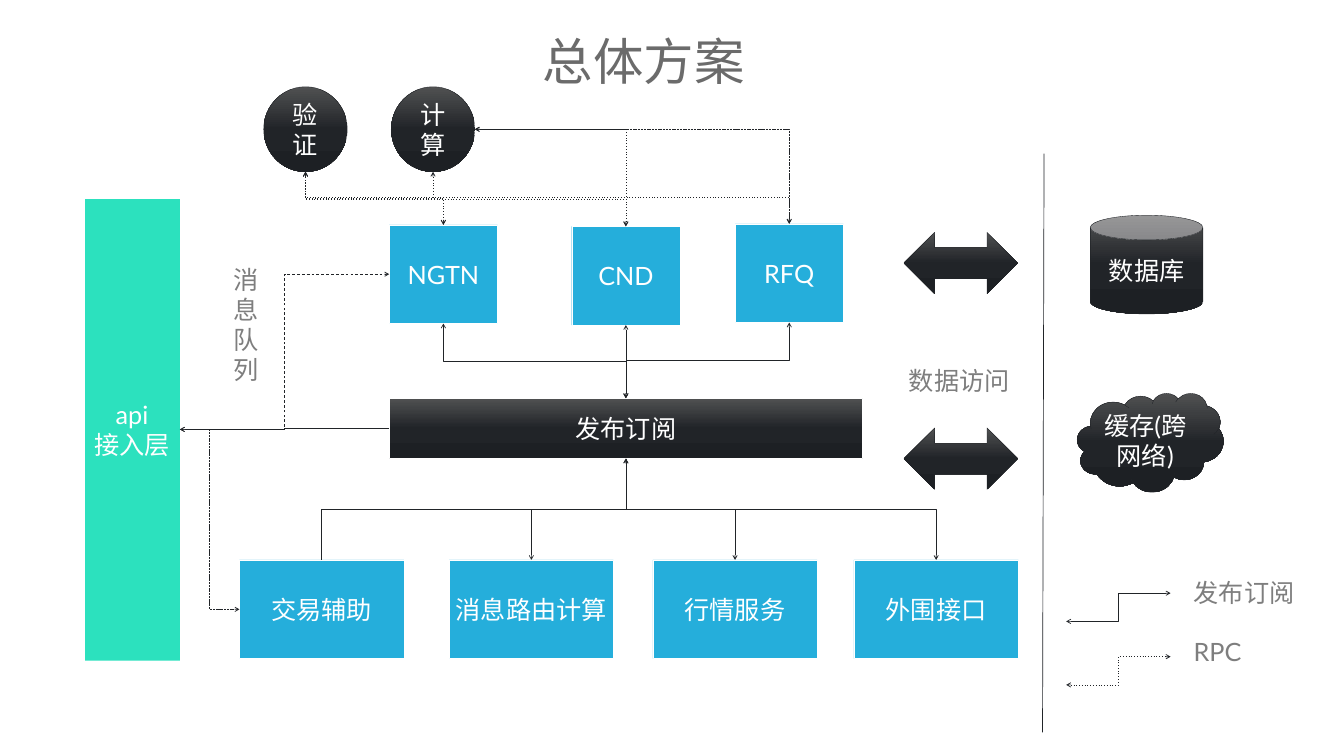
from copy import deepcopy

from lxml.etree import SubElement
from pptx import Presentation
from pptx.dml.color import RGBColor
from pptx.enum.shapes import MSO_CONNECTOR, MSO_SHAPE
from pptx.enum.text import MSO_ANCHOR, PP_ALIGN
from pptx.oxml.ns import qn
from pptx.util import Inches, Pt

LATIN, CJK = "Lato", "Noto Sans CJK SC"
WHITE, INK, GREY, TITLE_GREY = "FFFFFF", "212428", "7E7E7E", "6B6B6B"
BLUE, GREEN = "25AEDB", "2CE1BE"
DARK = [(0, "505152"), (0.5, INK), (1, "1D2024")]
RECT, OVAL = MSO_SHAPE.RECTANGLE, MSO_SHAPE.OVAL
TOP, LEFT, BOTTOM, RIGHT = range(4)

SERVICES = [("交易辅助", 4.75), ("消息路由计算", 8.91), ("行情服务", 12.95), ("外围接口", 16.94)]
ENGINES = [("NGTN", 7.72, 4.46), ("CND", 11.34, 4.49), ("RFQ", 14.58, 4.44)]
NODES = [
    ("api\n接入层", RECT, (1.67, 3.93, 1.9, 9.18), GREEN, WHITE),
    ("发布订阅", RECT, (7.72, 7.9, 9.39, 1.2), DARK, WHITE),
    ("数据库", MSO_SHAPE.CAN, (21.63, 4.27, 2.23, 1.96), DARK, INK),
    ("缓存(跨网络)", MSO_SHAPE.CLOUD, (21.37, 7.8, 2.9, 1.96), DARK, INK),
    *[(name, OVAL, (x, 1.72, 1.66, 1.69), DARK, INK) for name, x in [("验证", 5.23), ("计算", 7.76)]],
    *[(name, RECT, (x, y, 2.15, 1.96), BLUE, WHITE) for name, x, y in ENGINES],
    *[(name, RECT, (x, 11.11, 3.26, 1.96), BLUE, WHITE) for name, x in SERVICES],
]
ACCESS_ARROWS = [(17.93, y, 2.26, 1.22) for y in (4.61, 8.49)]
LABELS = [
    ("数据访问", (17.93, 7.19, 2.26, 0.71)),
    ("消息队列", (4.54, 5.19, 1.19, 2.52)),
    ("发布订阅", (23.58, 11.4, 2.65, 0.71)),
    ("RPC", (23.58, 12.57, 2.65, 0.71)),
]
LINKS = [
    ("api\n接入层", RIGHT, "交易辅助", LEFT, "sysDash", "both"),
    ("api\n接入层", RIGHT, "NGTN", LEFT, "dash", "end"),
    ("发布订阅", LEFT, "api\n接入层", RIGHT, "solid", "end"),
    ("发布订阅", BOTTOM, "行情服务", TOP, "solid", "end"),
    ("发布订阅", BOTTOM, "外围接口", TOP, "solid", "end"),
    ("交易辅助", TOP, "发布订阅", BOTTOM, "solid", "end"),
    ("消息路由计算", TOP, "发布订阅", BOTTOM, "solid", "both"),
    ("NGTN", BOTTOM, "发布订阅", TOP, "solid", "both"),
    ("RFQ", BOTTOM, "发布订阅", TOP, "solid", "both"),
    ("NGTN", TOP, "验证", BOTTOM, "dot", "both"),
    ("CND", TOP, "验证", BOTTOM, "dot", "both"),
    ("RFQ", TOP, "验证", BOTTOM, "dot", "both"),
    ("NGTN", TOP, "计算", BOTTOM, "dot", "both"),
    ("CND", TOP, "计算", RIGHT, "dot", "both"),
    ("RFQ", TOP, "计算", RIGHT, "sysDash", "both"),
]
LEGEND = [(12.33, "solid"), (13.59, "dot")]


def rgb(color):
    """Turn a hex string into a colour."""
    return RGBColor.from_string(color)


def style_text(tf, color, size=36, font=LATIN, align=PP_ALIGN.LEFT):
    """Format every run of a text frame."""
    for p in tf.paragraphs:
        p.alignment = align
        for r in p.runs:
            r.font.size, r.font.name = Pt(size), font
            r.font.color.rgb = rgb(color)
            SubElement(r.font._element, qn("a:ea"), typeface=CJK)


def paint(sp, fill):
    """Fill a shape with one colour or with gradient stops."""
    if isinstance(fill, str):
        sp.fill.solid()
        sp.fill.fore_color.rgb = rgb(fill)
        return
    sp.fill.gradient()
    sp.fill.gradient_angle = 270
    stops = sp._element.spPr.find(".//" + qn("a:gsLst"))
    stops.append(deepcopy(stops[0]))
    for stop, (position, color) in zip(sp.fill.gradient_stops, fill):
        stop.position = position
        stop.color.rgb = rgb(color)


def add_node(s, kind, box, fill, line, text=""):
    """Add a filled shape with centred white text."""
    sp = s.shapes.add_shape(kind, *map(Inches, box))
    sp.shadow.inherit = False
    paint(sp, fill)
    sp.line.color.rgb, sp.line.width = rgb(line), Pt(0.5)
    if text:
        tf = sp.text_frame
        tf.text, tf.word_wrap, tf.vertical_anchor = text, True, MSO_ANCHOR.MIDDLE
        style_text(tf, WHITE, align=PP_ALIGN.CENTER)
    return sp


def add_label(s, text, box, color=GREY):
    """Add a wrapped text box and return its frame."""
    tf = s.shapes.add_textbox(*map(Inches, box)).text_frame
    tf.text, tf.word_wrap = text, True
    style_text(tf, color)
    return tf


def side_point(sp, side):
    """Return the middle of one side of a shape."""
    fx, fy = [(0.5, 0), (0, 0.5), (0.5, 1), (1, 0.5)][side]
    return sp.left + int(sp.width * fx), sp.top + int(sp.height * fy)


def add_line(s, kind, start, end, dash="solid", arrows="none"):
    """Add a dark connector with a dash and open arrowheads."""
    c = s.shapes.add_connector(kind, *start, *end)
    c.line.color.rgb, c.line.width = rgb(INK), Pt(1)
    ln = c._element.spPr.find(qn("a:ln"))
    SubElement(ln, qn("a:prstDash"), val=dash)
    if arrows == "both":
        SubElement(ln, qn("a:headEnd"), type="arrow")
    if arrows != "none":
        SubElement(ln, qn("a:tailEnd"), type="arrow")
    SubElement(c._element.spPr, qn("a:effectLst"))
    return c


def add_upright_elbow(s, start, end, one_bend, dash, arrows):
    """Add an elbow that leaves its start vertically."""
    (x1, y1), (x2, y2) = start, end
    dx, dy, cx, cy = x2 - x1, y2 - y1, (x1 + x2) // 2, (y1 + y2) // 2
    a = abs(dy) // 2 * (1 if dx > 0 else -1)
    b = abs(dx) // 2 * (1 if dy > 0 else -1)
    c = add_line(s, MSO_CONNECTOR.ELBOW, (cx + a, cy - b), (cx - a, cy + b), dash, arrows)
    c._element.spPr.find(qn("a:xfrm")).set("rot", str((90 if dx * dy < 0 else 270) * 60000))
    if one_bend:
        c._element.spPr.find(qn("a:prstGeom")).set("prst", "bentConnector2")


def main():
    """Build the architecture slide."""
    prs = Presentation()
    prs.slide_width, prs.slide_height = Inches(26.66), Inches(15)
    s = prs.slides.add_slide(prs.slide_layouts[6])

    tf = add_label(s, "总体方案", (10.75, 0.59, 4.04, 1.21))
    tf.margin_left = tf.margin_right = tf.margin_top = tf.margin_bottom = 0
    tf.word_wrap, tf.vertical_anchor = False, MSO_ANCHOR.MIDDLE
    style_text(tf, TITLE_GREY, 72, CJK, PP_ALIGN.CENTER)

    nodes = {text: add_node(s, kind, box, fill, line, text) for text, kind, box, fill, line in NODES}
    for box in ACCESS_ARROWS:
        add_node(s, MSO_SHAPE.LEFT_RIGHT_ARROW, box, DARK, INK)
    for text, box in LABELS:
        add_label(s, text, box)

    for source, out, target, into, dash, arrows in LINKS:
        start, end = side_point(nodes[source], out), side_point(nodes[target], into)
        if out in (TOP, BOTTOM):
            add_upright_elbow(s, start, end, into == RIGHT, dash, arrows)
        else:
            add_line(s, MSO_CONNECTOR.ELBOW, start, end, dash, arrows)

    engine, bus = nodes["CND"], nodes["发布订阅"]
    c = add_line(s, MSO_CONNECTOR.STRAIGHT, side_point(engine, BOTTOM), side_point(bus, TOP), arrows="both")
    c.begin_connect(engine, BOTTOM)
    c.end_connect(bus, TOP)

    add_line(s, MSO_CONNECTOR.STRAIGHT, (Inches(20.71), Inches(3.05)), (Inches(20.68), Inches(14.53)))
    for y, dash in LEGEND:
        start, end = (Inches(21.15), Inches(y)), (Inches(23.22), Inches(y - 0.56))
        add_line(s, MSO_CONNECTOR.ELBOW, start, end, dash, "both")

    prs.save("out.pptx")


if __name__ == "__main__":
    main()
